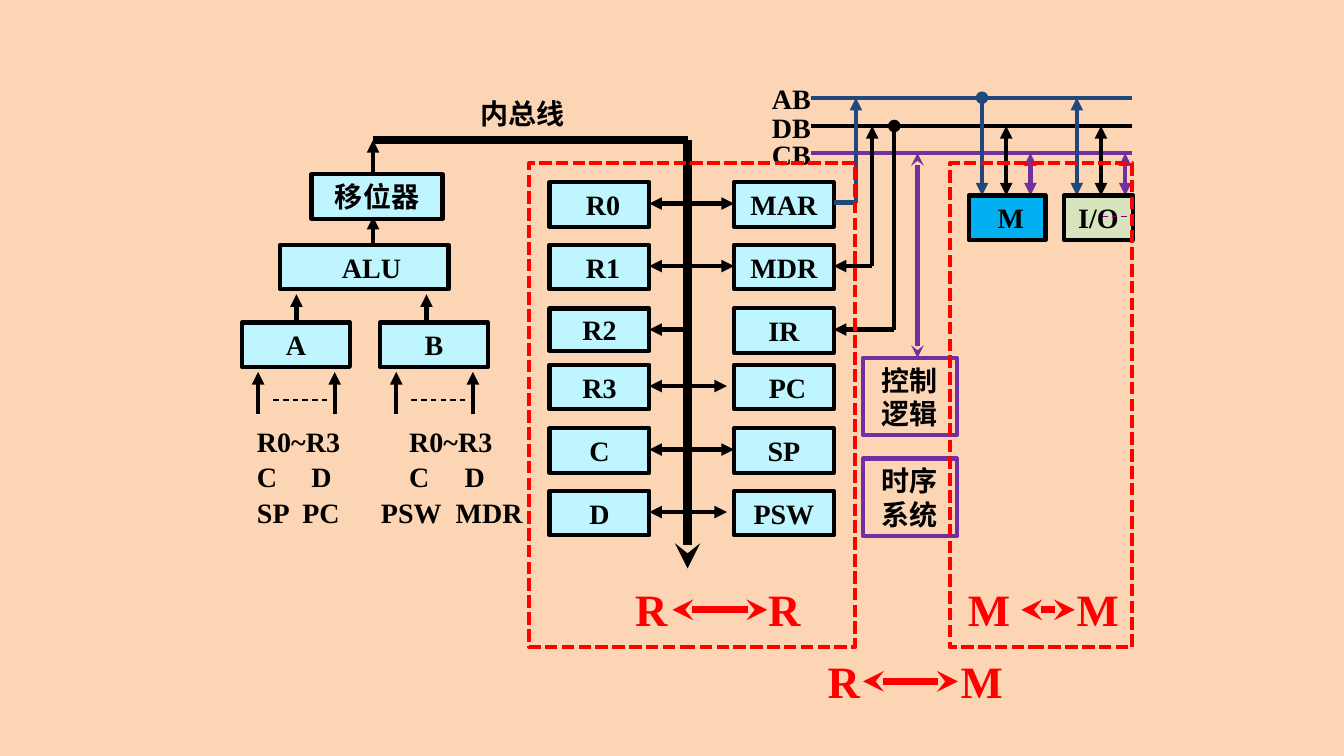
from pptx import Presentation
from pptx import util as u
from pptx.dml.color import RGBColor
from pptx.enum import dml, shapes, text
from pptx.oxml import ns
from lxml import etree

PX = 9144
COLOURS = {
    "page": "FCD5B5", "black": "000000", "unit": "BEF5FE", "memory": "00B0F0",
    "io": "D7E4BD", "address": "1F497D", "control": "7030A0",
    "plum": "800080", "red": "FF0000",
}
DASHES = {"dash": dml.MSO_LINE.DASH, "sysDash": dml.MSO_LINE.SQUARE_DOT}


def rgb(name):
    return RGBColor.from_string(COLOURS[name])


def px(*lengths):
    return [u.Emu(length * PX) for length in lengths]


def write(box, lines, size=20, colour="black", align="CENTER", shift=0,
          tabs=None, line_spacing=None, gap=0):
    frame = box.text_frame
    frame.word_wrap = True
    frame.vertical_anchor = text.MSO_ANCHOR.MIDDLE
    frame.margin_left, frame.margin_right = px(10 + shift, 10)
    frame.margin_top, frame.margin_bottom = px(0, 0)
    for row, line in enumerate(lines.split("\n")):
        para = frame.add_paragraph() if row else frame.paragraphs[0]
        if tabs:
            stops = etree.SubElement(para._p.get_or_add_pPr(), ns.qn("a:tabLst"))
            for stop in tabs[row]:
                etree.SubElement(stops, ns.qn("a:tab"), pos=str(stop * PX), algn="l")
        para.alignment = getattr(text.PP_ALIGN, align)
        if line_spacing:
            para.line_spacing = line_spacing
        if row and gap:
            para.space_before = u.Pt(gap)
        span = para.add_run()
        span.text = line
        span.font.name = "Times New Roman"
        span.font.size = u.Pt(size)
        span.font.bold = True
        span.font.color.rgb = rgb(colour)


class Diagram:
    """Draw styled boxes, labels and wires on one slide."""

    def __init__(self, deck):
        self.page = deck.slides.add_slide(deck.slide_layouts[6])
        self.page.background.fill.solid()
        self.page.background.fill.fore_color.rgb = rgb("page")

    def box(self, label, x, y, w, h=44, fill="unit", line="black", dash=None, shift=0):
        box = self.page.shapes.add_shape(shapes.MSO_SHAPE.RECTANGLE, *px(x, y, w, h))
        box.shadow.inherit = False
        if fill:
            box.fill.solid()
            box.fill.fore_color.rgb = rgb(fill)
        else:
            box.fill.background()
        box.line.color.rgb = rgb(line)
        box.line.width = u.Pt(3)
        if dash:
            box.line.dash_style = DASHES[dash]
        if label:
            write(box, label, shift=shift)

    def label(self, words, x, y, w, h=44, **style):
        write(self.page.shapes.add_textbox(*px(x, y, w, h)), words, **style)

    def wire(self, x1, y1, x2, y2, colour="black", width=3, head=None, tail=None, dash=None):
        wire = self.page.shapes.add_connector(
            shapes.MSO_CONNECTOR.STRAIGHT, *px(x1, y1, x2, y2))
        wire.line.color.rgb = rgb(colour)
        wire.line.width = u.Pt(width)
        if dash:
            wire.line.dash_style = DASHES[dash]
        stroke = wire.line._get_or_add_ln()
        for end, kind in (("a:headEnd", head), ("a:tailEnd", tail)):
            if kind:
                etree.SubElement(stroke, ns.qn(end), type=kind)
        etree.SubElement(wire._element.spPr, ns.qn("a:effectLst"))


def draw_alu(diagram):
    for x, bottom, top in ((294, 320, 292), (423, 320, 292), (370, 243, 215), (370, 173, 139)):
        diagram.wire(x, bottom, x, top, tail="triangle")
    for name, x in (("A", 240), ("B", 377)):
        for inlet in (x + 16, x + 92):
            diagram.wire(inlet, 411, inlet, 369, tail="triangle")
        diagram.wire(x + 31, 397, x + 84, 397, width=1, dash="dash")
        diagram.box(name, x, 320, 107)
    diagram.box("移位器", 309, 173, 130)
    diagram.box("ALU", 278, 243, 167, shift=14)
    diagram.label("R0~R3\tR0~R3\nC\tD\tC\tD\nSP\tPC\tPSW\tMDR", 245, 425, 292, 106,
                  align="LEFT", line_spacing=0.6, gap=11,
                  tabs=[[151], [54, 151, 206], [45, 123, 197]])


def draw_registers(diagram):
    diagram.label("内总线", 438, 90, 160)
    diagram.wire(370, 139, 682, 139, width=6)
    diagram.wire(682, 139, 682, 564, width=6, tail="stealth")
    rows = (
        ("R0", 7, "MAR", 0, 181, 44, 728), ("R1", 7, "MDR", 0, 243, 44, 728),
        ("R2", 0, "IR", 0, 306, 42, 682), ("R3", 0, "PC", 7, 362, 44, 721),
        ("C", 0, "SP", 0, 425, 44, 728), ("D", 0, "PSW", 0, 487, 44, 721),
    )
    for left, left_shift, right, right_shift, y, height, end in rows:
        diagram.wire(end, y + 21, 644, y + 21, tail="triangle",
                     head="triangle" if end > 682 else None)
        diagram.box(left, 545, y, 99, height, shift=left_shift)
        diagram.box(right, 728, y, 99, shift=right_shift)


def draw_system_bus(diagram):
    buses = (("AB", 97, "address"), ("DB", 125, "black"), ("CB", 152, "control"))
    for name, y, colour in buses:
        diagram.wire(804, y, 1123, y, colour)
        diagram.label(name, 743, y - 21, 84)
    for device, x in (("M", 974), ("I/O", 1068)):
        for step, (_, y, colour) in enumerate(buses):
            head = "oval" if device == "M" and step == 0 else "triangle"
            diagram.wire(x + 24 * step, y, x + 24 * step, 194, colour, head=head, tail="triangle")
    diagram.wire(827, 201, 849, 201, "address")
    diagram.wire(849, 201, 849, 97, "address", tail="triangle")
    diagram.wire(865, 264, 827, 264, tail="triangle")
    diagram.wire(865, 264, 865, 125, tail="triangle")
    diagram.wire(887, 125, 887, 327, head="oval")
    diagram.wire(887, 327, 827, 327, tail="triangle")
    diagram.box("M", 961, 194, 76, fill="memory", shift=7)
    diagram.box("I/O", 1055, 194, 69, fill="io")
    diagram.wire(1093, 215, 1123, 215, "plum", width=1, dash="dash")
    diagram.wire(910, 152, 910, 355, "control", head="stealth", tail="stealth")
    for name, y in (("控制逻辑", 355), ("时序系统", 455)):
        diagram.box(name, 856, y, 93, 77, fill=None, line="control")


def draw_transfers(diagram):
    for x, w in ((525, 323), (942, 181)):
        diagram.box("", x, 162, w, 480, fill=None, line="red", dash="sysDash")
    transfers = (
        ("R\tR", 620, 572, 186, 132, 667, 761),
        ("M\tM", 950, 572, 172, 108, 1013, 1066),
        ("R\tM", 811, 643, 196, 132, 856, 950),
    )
    for words, x, y, w, stop, start, end in transfers:
        diagram.label(words, x, y, w, 64, size=32, colour="red", align="LEFT", tabs=[[stop]])
        diagram.wire(start, y + 33, end, y + 33, "red", width=5, head="stealth", tail="stealth")


def main():
    deck = Presentation()
    deck.slide_width, deck.slide_height = px(1333, 750)
    diagram = Diagram(deck)
    draw_alu(diagram)
    draw_registers(diagram)
    draw_system_bus(diagram)
    draw_transfers(diagram)
    deck.save("out.pptx")


if __name__ == "__main__":
    main()
